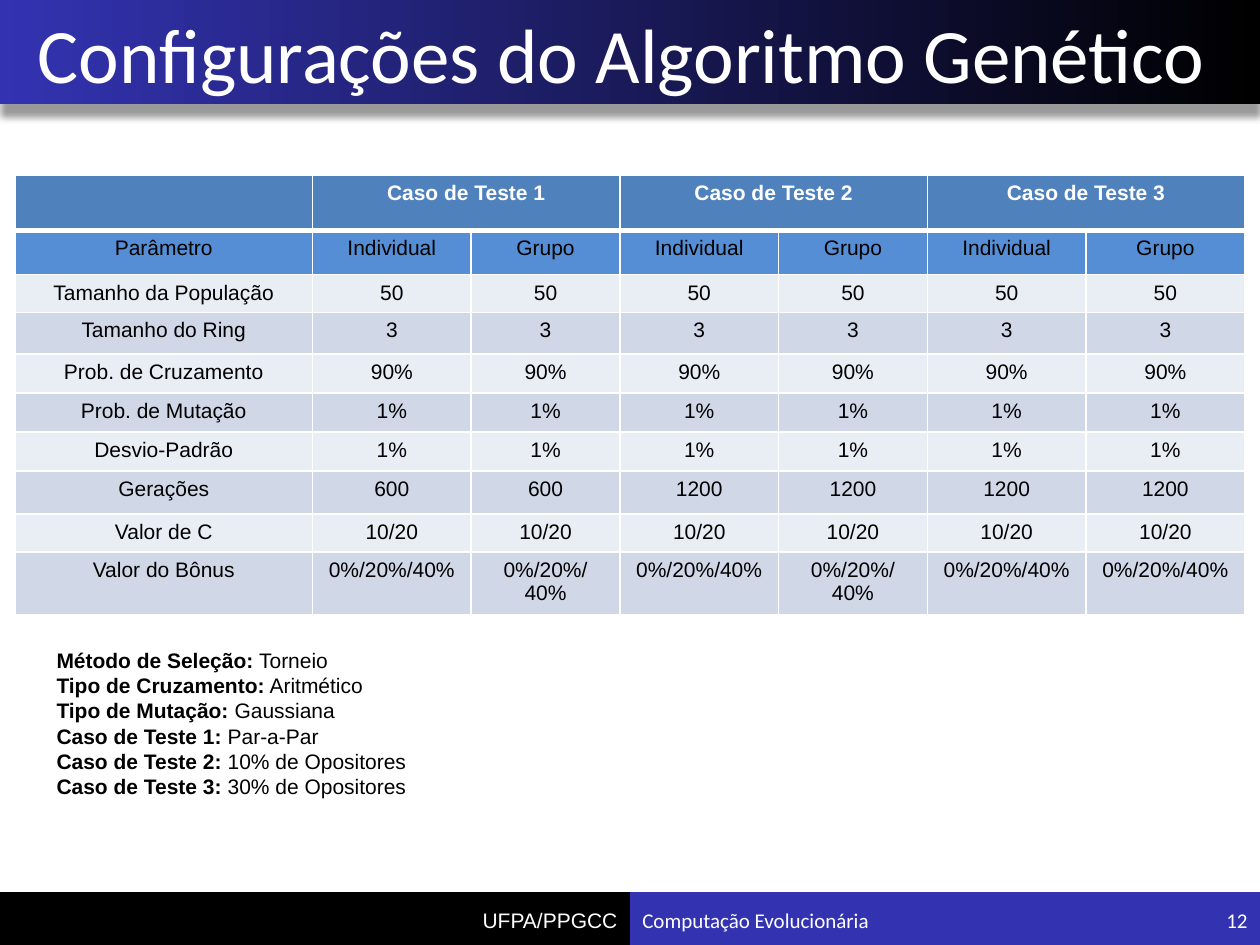
from dataclasses import dataclass

from lxml import etree
from pptx import Presentation
from pptx.dml.color import RGBColor
from pptx.enum import shapes, text
from pptx.oxml import ns
from pptx.util import Inches, Pt

WHITE = RGBColor(0xFF, 0xFF, 0xFF)
BLACK = RGBColor(0, 0, 0)
INDIGO = RGBColor(0x33, 0x33, 0xB2)
HEAD = RGBColor(0x4F, 0x81, 0xBD)
SUB = RGBColor(0x55, 0x8E, 0xD5)
LIGHT = RGBColor(0xE9, 0xED, 0xF4)
DARK = RGBColor(0xD0, 0xD8, 0xE8)

LEFT, MID, RIGHT = text.PP_ALIGN.LEFT, text.PP_ALIGN.CENTER, text.PP_ALIGN.RIGHT


@dataclass
class Box:
    x: float
    y: float
    w: float
    h: float

    def area(self) -> tuple:
        return tuple(Inches(v) for v in (self.x, self.y, self.w, self.h))


@dataclass
class Label:
    box: Box
    words: str
    face: str = "Calibri"
    size: int = 12
    align: text.PP_ALIGN = LEFT
    inset: float = 0.1


LABELS = [
    Label(Box(0, 0, 9.75, 0.83), "Configurações do Algoritmo Genético", size=44, inset=0.3),
    Label(Box(1.17, 7.1, 3.83, 0.4), "UFPA/PPGCC", face="Arial", align=RIGHT),
    Label(Box(5, 7.1, 3.83, 0.4), "Computação Evolucionária"),
    Label(Box(8.83, 7.1, 1.17, 0.4), "12", align=RIGHT),
]

COLS = [2.36] + [1.26, 1.18] * 2 + [1.26] * 2
ROWS = [0.44, 0.35, 0.3, 0.33, 0.31, 0.31, 0.31, 0.34, 0.3, 0.5]
CASES = 3
GRID = [
    [""] + [v for n in range(CASES) for v in (f"Caso de Teste {n + 1}", "")],
    ["Parâmetro"] + ["Individual", "Grupo"] * CASES,
    ["Tamanho da População"] + ["50"] * 6,
    ["Tamanho do Ring"] + ["3"] * 6,
    ["Prob. de Cruzamento"] + ["90%"] * 6,
    ["Prob. de Mutação"] + ["1%"] * 6,
    ["Desvio-Padrão"] + ["1%"] * 6,
    ["Gerações"] + ["600"] * 2 + ["1200"] * 4,
    ["Valor de C"] + ["10/20"] * 6,
    ["Valor do Bônus"] + ["0%/20%/40%"] * 6,
]
NOTES = [
    ("Método de Seleção:", "Torneio"),
    ("Tipo de Cruzamento:", "Aritmético"),
    ("Tipo de Mutação:", "Gaussiana"),
    ("Caso de Teste 1:", "Par-a-Par"),
    ("Caso de Teste 2:", "10% de Opositores"),
    ("Caso de Teste 3:", "30% de Opositores"),
]


def style(para, face: str, size: int, color: RGBColor, align=LEFT) -> None:
    para.alignment = align
    para.font.name = face
    para.font.size = Pt(size)
    para.font.color.rgb = color


def add_bar(slide, box: Box, color: RGBColor):
    bar = slide.shapes.add_shape(shapes.MSO_SHAPE.RECTANGLE, *box.area())
    bar.shadow.inherit = False
    bar.line.fill.background()
    bar.fill.solid()
    bar.fill.fore_color.rgb = color
    return bar


def add_banner(slide, box: Box) -> None:
    bar = add_bar(slide, box, BLACK)
    bar.fill.gradient()
    bar.fill.gradient_angle = 180
    for stop, color, pos in zip(bar.fill.gradient_stops, (BLACK, INDIGO), (0, 1)):
        stop.color.rgb = color
        stop.position = pos
    # Soft shadow below the banner
    effects = bar._element.spPr.find(ns.qn("a:effectLst"))
    shade = etree.SubElement(effects, ns.qn("a:outerShdw"), blurRad=str(Pt(4)),
                             dist=str(Pt(7)), dir="5400000", rotWithShape="0")
    color = etree.SubElement(shade, ns.qn("a:srgbClr"), val=str(BLACK))
    etree.SubElement(color, ns.qn("a:alpha"), val="40000")


def add_label(slide, label: Label) -> None:
    frame = slide.shapes.add_textbox(*label.box.area()).text_frame
    frame.word_wrap = True
    frame.vertical_anchor = text.MSO_ANCHOR.MIDDLE
    frame.margin_left = Inches(label.inset)
    para = frame.paragraphs[0]
    para.text = label.words
    style(para, label.face, label.size, WHITE, label.align)


def set_edges(cell, base: int) -> None:
    props = cell._tc.get_or_add_tcPr()
    for i, side in enumerate("LRTB"):
        width = base if side == "B" else 1
        line = etree.Element(ns.qn(f"a:ln{side}"), w=str(Pt(width)))
        fill = etree.SubElement(line, ns.qn("a:solidFill"))
        etree.SubElement(fill, ns.qn("a:srgbClr"), val=str(WHITE))
        props.insert(i, line)


def add_grid(slide, box: Box) -> None:
    table = slide.shapes.add_table(len(ROWS), len(COLS), *box.area()).table
    for col, width in zip(table.columns, COLS):
        col.width = Inches(width)
    for r, (row, height) in enumerate(zip(GRID, ROWS)):
        table.rows[r].height = Inches(height)
        fill = (HEAD, SUB)[r] if r < 2 else (LIGHT, DARK)[r % 2]
        for c, words in enumerate(row):
            cell = table.cell(r, c)
            set_edges(cell, 3 if r == 0 else 1)
            cell.fill.solid()
            cell.fill.fore_color.rgb = fill
            para = cell.text_frame.paragraphs[0]
            para.text = words
            style(para, "Arial", 12, BLACK if r else WHITE, MID)
            para.font.bold = r == 0
    for c in range(1, len(COLS), 2):
        table.cell(0, c).merge(table.cell(0, c + 1))


def add_notes(slide, box: Box) -> None:
    frame = slide.shapes.add_textbox(*box.area()).text_frame
    frame.word_wrap = True
    for i, (name, value) in enumerate(NOTES):
        para = frame.add_paragraph() if i else frame.paragraphs[0]
        style(para, "Arial", 12, BLACK)
        for words, bold in ((name, True), (f" {value}", False)):
            run = para.add_run()
            run.text = words
            run.font.bold = bold


def main() -> None:
    deck = Presentation()
    deck.slide_width, deck.slide_height = Inches(10), Inches(7.5)
    slide = deck.slides.add_slide(deck.slide_layouts[6])

    # Footer bars and title banner
    add_bar(slide, Box(5, 7.08, 5, 0.42), INDIGO)
    add_bar(slide, Box(0, 7.08, 5, 0.42), BLACK)
    add_banner(slide, Box(0, 0, 10, 0.83))

    # Settings table and notes
    add_grid(slide, Box(0.12, 1.39, sum(COLS), sum(ROWS)))
    add_notes(slide, Box(0.35, 5.09, 8.58, 1.31))

    # Title and footer words
    for label in LABELS:
        add_label(slide, label)
    deck.save("out.pptx")


if __name__ == "__main__":
    main()
